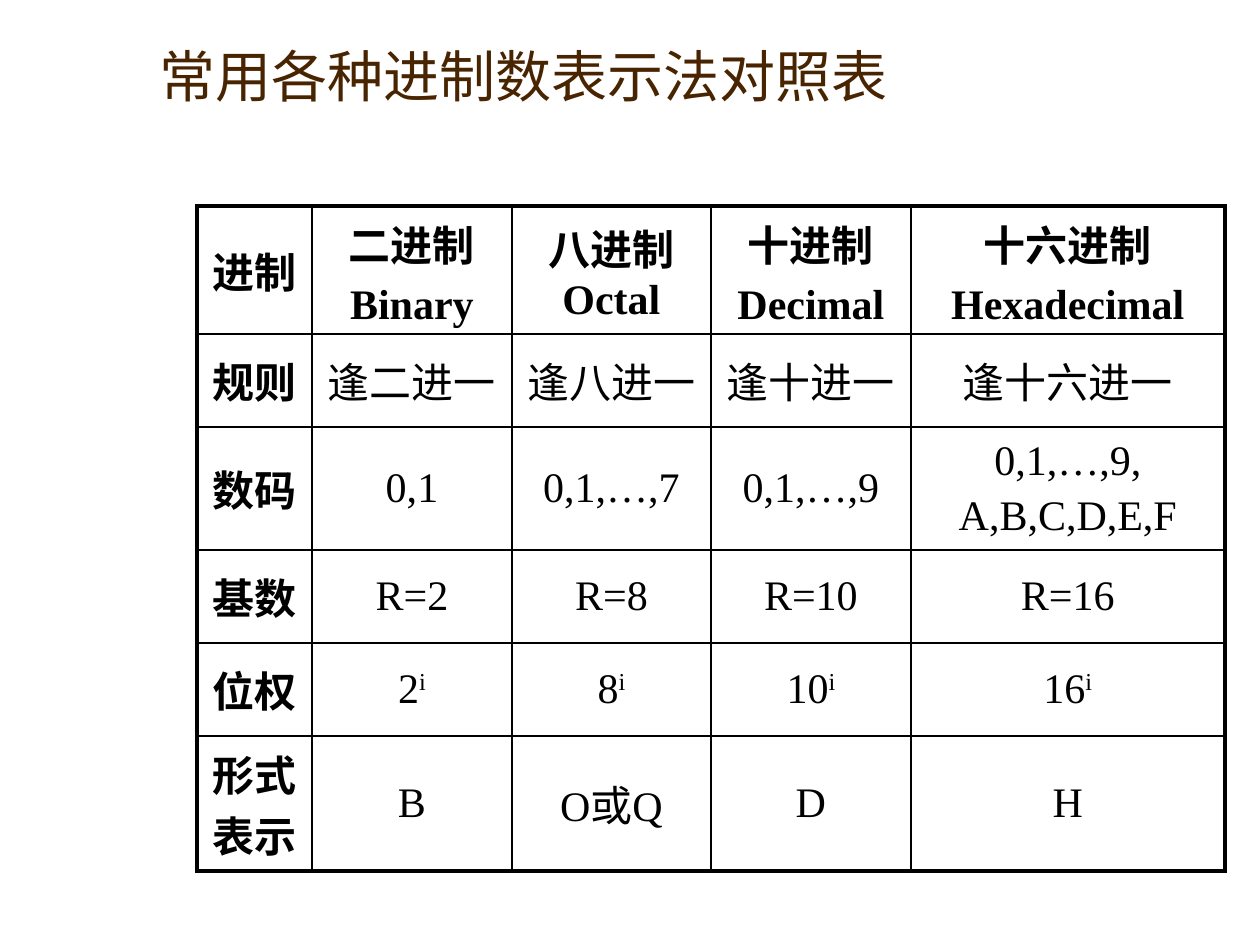
from lxml import etree
from pptx import Presentation
from pptx import util as u
from pptx.dml.color import RGBColor
from pptx.enum import text
from pptx.oxml.ns import qn

SCALE = 914400 / 126
FONT = "Times New Roman"
BROWN = RGBColor(0x48, 0x24, 0x00)
BLACK = RGBColor(0x00, 0x00, 0x00)
THIN, THICK = 1, 2.25

COLS = [115, 200, 199, 200, 314]
ROWS = [128, 93, 123, 93, 93, 135]

# Each cell is text; "\n" parts paragraphs and "^" starts a superscript
CELLS = [
    ["进制", "二进制\nBinary", "八进制Octal", "十进制\nDecimal", "十六进制\nHexadecimal"],
    ["规则", "逢二进一", "逢八进一", "逢十进一", "逢十六进一"],
    ["数码", "0,1", "0,1,…,7", "0,1,…,9", "0,1,…,9,\nA,B,C,D,E,F"],
    ["基数", "R=2", "R=8", "R=10", "R=16"],
    ["位权", "2^i", "8^i", "10^i", "16^i"],
    ["形式表示", "B", "O或Q", "D", "H"],
]


def px(n):
    return u.Emu(round(n * SCALE))


def add_run(para, words, size, color, bold=False, raised=False):
    run = para.add_run()
    run.text = words
    font = run.font
    font.name, font.size, font.bold = FONT, u.Pt(size), bold
    font.color.rgb = color
    if raised:
        run._r.get_or_add_rPr().set("baseline", "30000")


def add_title(slide, words):
    box = slide.shapes.add_textbox(px(147), px(21), px(1071), px(94))
    frame = box.text_frame
    frame.word_wrap = True
    frame.vertical_anchor = text.MSO_ANCHOR.BOTTOM
    add_run(frame.paragraphs[0], words, 32, BROWN)


def set_edges(cell, widths):
    props = cell._tc.get_or_add_tcPr()
    for i, (side, width) in enumerate(widths.items()):
        line = etree.Element(qn("a:ln" + side), w=str(u.Pt(width)))
        fill = etree.SubElement(line, qn("a:solidFill"))
        etree.SubElement(fill, qn("a:srgbClr"), val=str(BLACK))
        props.insert(i, line)


def fill_cell(cell, words, bold):
    cell.fill.background()
    cell.vertical_anchor = text.MSO_ANCHOR.MIDDLE
    frame = cell.text_frame
    for i, line in enumerate(words.split("\n")):
        para = frame.add_paragraph() if i else frame.paragraphs[0]
        para.alignment = text.PP_ALIGN.CENTER
        if i:
            para.space_before = u.Pt(5)
        base, _, power = line.partition("^")
        add_run(para, base, 24, BLACK, bold)
        if power:
            add_run(para, power, 24, BLACK, bold, raised=True)


def add_grid(slide):
    frame = slide.shapes.add_table(len(ROWS), len(COLS), px(197), px(206),
                                   px(sum(COLS)), px(sum(ROWS)))
    table = frame.table
    table.first_row = table.horz_banding = False
    for col, width in zip(table.columns, COLS):
        col.width = px(width)
    for row, height in zip(table.rows, ROWS):
        row.height = px(height)

    # The outer frame is thick, the inner lines are thin
    for r, line in enumerate(CELLS):
        for c, words in enumerate(line):
            cell = table.cell(r, c)
            fill_cell(cell, words, bold=r == 0 or c == 0)
            outer = {"L": c == 0, "R": c == len(COLS) - 1,
                     "T": r == 0, "B": r == len(ROWS) - 1}
            set_edges(cell, {side: THICK if out else THIN
                             for side, out in outer.items()})


def main():
    deck = Presentation()
    deck.slide_width, deck.slide_height = px(1260), px(945)
    slide = deck.slides.add_slide(deck.slide_layouts[6])
    add_title(slide, "常用各种进制数表示法对照表")
    add_grid(slide)
    deck.save("out.pptx")


if __name__ == "__main__":
    main()
